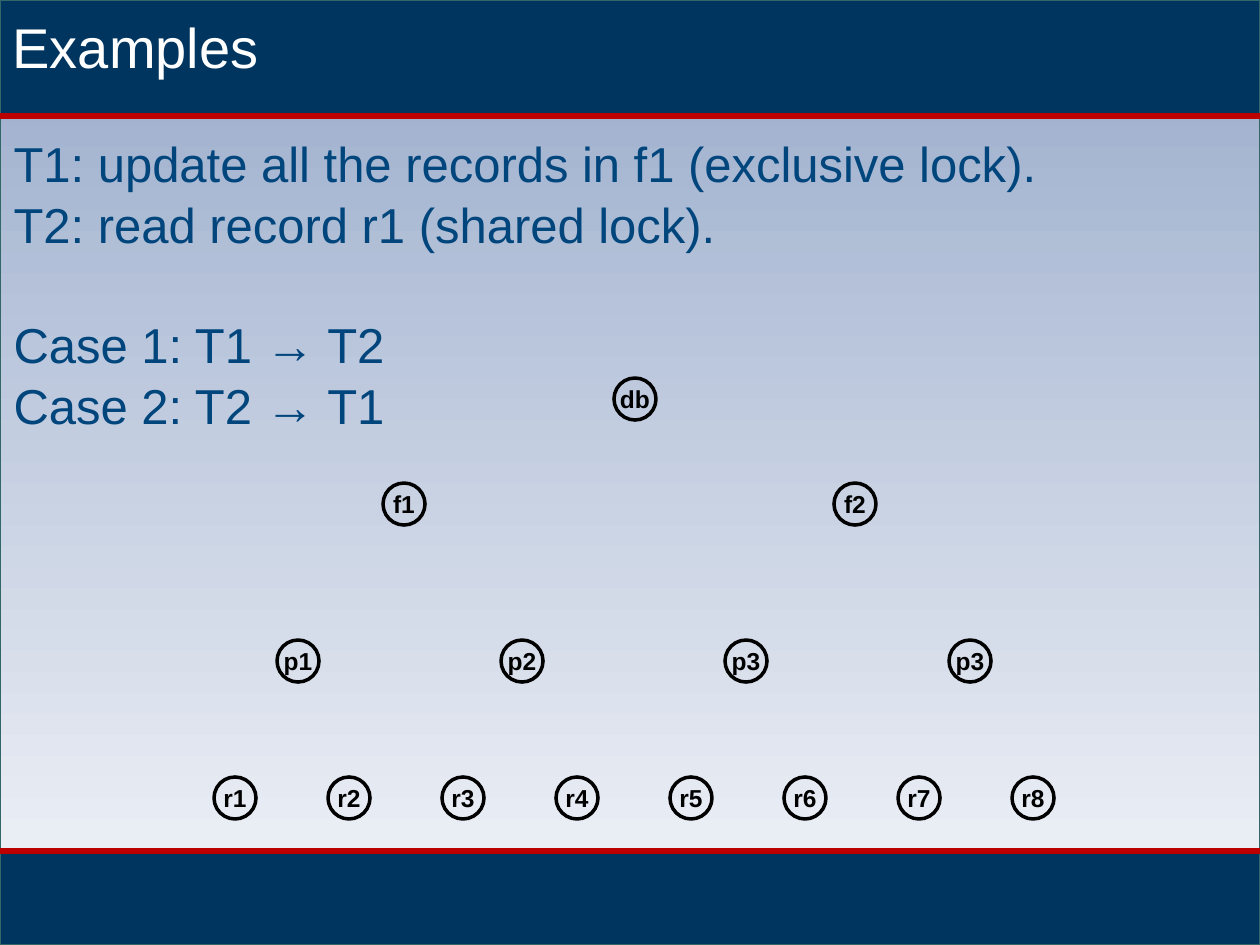
from dataclasses import dataclass

from lxml.etree import SubElement
from pptx import Presentation
from pptx.dml.color import RGBColor as RGB
from pptx.enum.shapes import MSO_CONNECTOR as Connector, MSO_SHAPE as Preset
from pptx.enum.text import MSO_ANCHOR as Anchor, MSO_AUTO_SIZE as AutoSize, PP_ALIGN as Align
from pptx.oxml.ns import qn
from pptx.util import Emu, Pt


@dataclass(frozen=True)
class Theme:
    font: str = "Arial"
    navy: RGB = RGB(0x00, 0x35, 0x60)
    red: RGB = RGB(0xBC, 0x00, 0x00)
    edge: RGB = RGB(0x33, 0x66, 0x66)
    sky_top: RGB = RGB(0x99, 0xAB, 0xCB)
    sky_bottom: RGB = RGB(0xF3, 0xF5, 0xF9)
    body: RGB = RGB(0x00, 0x45, 0x7C)
    white: RGB = RGB(0xFF, 0xFF, 0xFF)
    black: RGB = RGB(0x00, 0x00, 0x00)
    title_size: int = 32
    body_size: int = 28
    node_size: int = 14


THEME = Theme()
WIDTH, HEIGHT = 1260, 945
HEADER, FOOTER = 116, 94
NODE = 42
STATEMENTS = [
    ("T1: update all the records in f1 (exclusive lock).", 0),
    ("T2: read record r1 (shared lock).", 1.4),
    ("Case 1: T1 → T2", 35),
    ("Case 2: T2 → T1", 1.4),
]
LEVELS = [
    (["db"], 400, 0, 0),
    (["f1", "f2"], 169, 105, 451),
    (["p1", "p2", "p3", "p3"], 63, 262, 224),
    ([f"r{number}" for number in range(1, 9)], 0, 399, 114),
]


def px(length):
    return Emu(round(length * 914400 / 126))


def add_run(paragraph, text, size, color, bold=False):
    run = paragraph.add_run()
    run.text = text
    run.font.name = THEME.font
    run.font.size = Pt(size)
    run.font.bold = bold
    run.font.color.rgb = color


def add_panel(slide, box):
    panel = slide.shapes.add_shape(Preset.RECTANGLE, *map(px, box))
    panel.shadow.inherit = False
    panel.line.color.rgb = THEME.edge
    panel.line.width = Pt(0.75)
    return panel


def add_rule(slide, left, top, width):
    rule = slide.shapes.add_connector(
        Connector.STRAIGHT, px(left), px(top), px(left + width), px(top)
    )
    rule.line.color.rgb = THEME.red
    rule.line.width = Pt(3.75)
    SubElement(rule.element.spPr, qn("a:effectLst"))


def add_backdrop(slide, box):
    left, top, width, height = box
    fill = add_panel(slide, box).fill
    fill.gradient()
    fill.gradient_angle = 270
    for stop, position, color in zip(
        fill.gradient_stops, (0, 1), (THEME.sky_top, THEME.sky_bottom)
    ):
        stop.position = position
        stop.color.rgb = color
    footer_top = top + height - FOOTER
    for band_top, band_height in ((footer_top, FOOTER), (top, HEADER)):
        band = add_panel(slide, (left, band_top, width, band_height))
        band.fill.solid()
        band.fill.fore_color.rgb = THEME.navy
    for rule_top in (top + HEADER, footer_top):
        add_rule(slide, left, rule_top, width)


def place_placeholder(placeholder, box):
    placeholder.left, placeholder.top, placeholder.width, placeholder.height = map(px, box)
    placeholder.element.getparent().append(placeholder.element)
    frame = placeholder.text_frame
    frame.word_wrap = True
    frame.auto_size = AutoSize.NONE
    frame.vertical_anchor = Anchor.TOP
    frame.margin_top = px(12)
    return frame


def fill_title(slide, box):
    heading = place_placeholder(slide.shapes.title, box).paragraphs[0]
    heading.alignment = Align.LEFT
    add_run(heading, "Examples", THEME.title_size, THEME.white)


def fill_statements(slide, box):
    frame = place_placeholder(slide.placeholders[1], box)
    for index, (statement, gap) in enumerate(STATEMENTS):
        paragraph = frame.add_paragraph() if index else frame.paragraphs[0]
        properties = paragraph._p.get_or_add_pPr()
        properties.set("marL", "0")
        properties.set("indent", "0")
        SubElement(properties, qn("a:buNone"))
        paragraph.space_before = Pt(gap)
        add_run(paragraph, statement, THEME.body_size, THEME.body)


def add_node(slide, label, left, top):
    node = slide.shapes.add_shape(Preset.OVAL, px(left), px(top), px(NODE), px(NODE))
    node.shadow.inherit = False
    node.fill.background()
    node.line.color.rgb = THEME.black
    node.line.width = Pt(2)
    frame = node.text_frame
    frame.word_wrap = False
    frame.vertical_anchor = Anchor.MIDDLE
    frame.margin_left = frame.margin_right = frame.margin_top = frame.margin_bottom = 0
    frame.paragraphs[0].alignment = Align.CENTER
    add_run(frame.paragraphs[0], label, THEME.node_size, THEME.black, bold=True)


def add_hierarchy(slide, left, top):
    for labels, offset, drop, step in LEVELS:
        for column, label in enumerate(labels):
            add_node(slide, label, left + offset + column * step, top + drop)


def main():
    deck = Presentation()
    deck.slide_width, deck.slide_height = px(WIDTH), px(HEIGHT)
    slide = deck.slides.add_slide(deck.slide_layouts[1])
    add_backdrop(slide, (0, 0, WIDTH, HEIGHT))
    fill_title(slide, (0, 0, WIDTH, 74))
    add_hierarchy(slide, 214, 378)
    fill_statements(slide, (1, 121, 1259, 310))
    deck.save("out.pptx")


if __name__ == "__main__":
    main()
